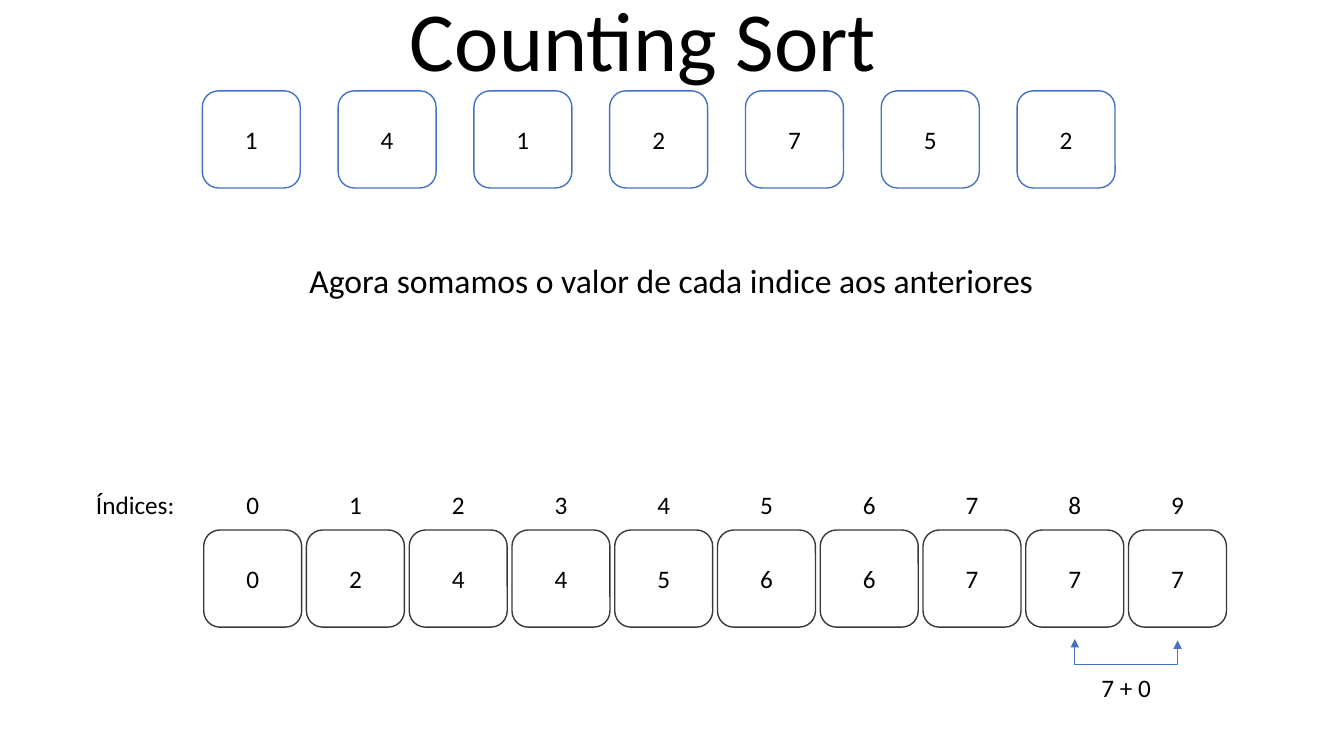
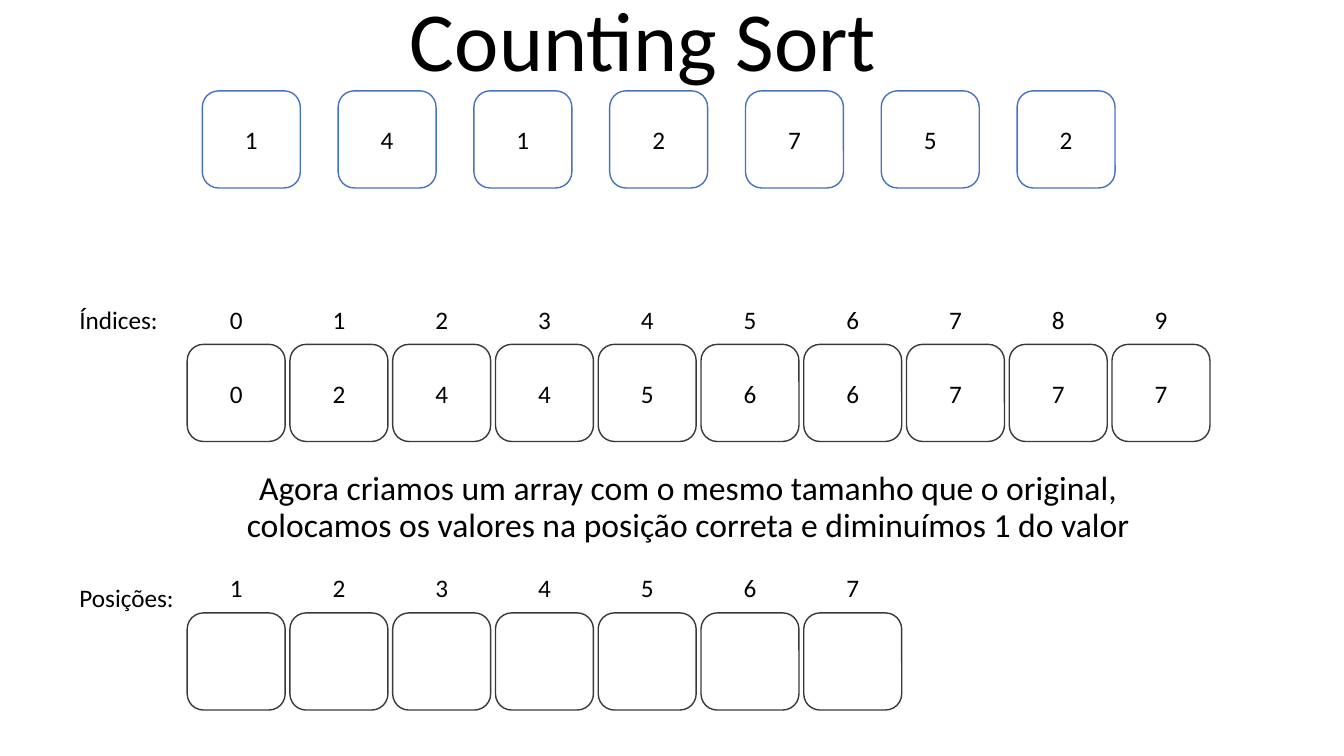
from lxml.etree import SubElement
from pptx import Presentation
from pptx.dml.color import RGBColor
from pptx.enum.shapes import MSO_CONNECTOR, MSO_SHAPE
from pptx.enum.text import MSO_ANCHOR, MSO_AUTO_SIZE, PP_ALIGN
from pptx.oxml.ns import qn
from pptx.util import Pt

COLORS = {"text": "000000", "fill": "FFFFFF", "input": "4472C4", "count": "3B3838"}
FONT = "Calibri"
TITLE = "Counting Sort"
TITLE_BOX = (99.4, -31, 720, 98.6)
CELL_WIDTH, CELL_HEIGHT = 70, 69.4
LABEL_WIDTH, LABEL_HEIGHT, LABEL_RISE = 40, 29, 32.4
CAPTION_WIDTH, CAPTION_SHIFT = 83, 84
COUNT_PITCH = 73.4

INPUT_ROW = {"values": [1, 4, 1, 2, 7, 5, 2], "left": 144.5, "top": 64.9,
             "pitch": 97, "color": "input"}
TOTALS = [0, 2, 4, 4, 5, 6, 6, 7, 7, 7]
INDEXES = {"values": TOTALS, "labels": range(10), "caption": "Índices:"}

SLIDES = [
    {
        "message": "Agora somamos o valor de cada indice aos anteriores",
        "message_box": (174, 185.5, 611, 60),
        "rows": [{**INDEXES, "left": 145.5, "top": 378.6}],
        "sum": {"text": "7 + 0", "cells": (8, 9)},
    },
    {
        "message": "Agora criamos um array com o mesmo tamanho que o original, "
                   "colocamos os valores na posição correta e diminuímos 1 do valor",
        "message_box": (163.5, 333.5, 656, 85),
        "rows": [
            {**INDEXES, "left": 133.7, "top": 246},
            {"values": [""] * 7, "labels": range(1, 8), "caption": "Posições:",
             "left": 133.7, "top": 437.8, "caption_drop": 7},
        ],
    },
]


def color(name):
    return RGBColor.from_string(COLORS[name])


def apply(target, formats):
    for name, value in formats.items():
        setattr(target, name, value)


def write(shape, text, size=18, align=PP_ALIGN.CENTER, frame=None, paragraph=None):
    text_frame = shape.text_frame
    text_frame.text = str(text)
    apply(text_frame, {"word_wrap": True, **(frame or {})})
    first = text_frame.paragraphs[0]
    apply(first, {"alignment": align, **(paragraph or {})})
    for run in first.runs:
        apply(run.font, {"name": FONT, "size": Pt(size)})
        run.font.color.rgb = color("text")


def fill_placeholder(shape, box, text, size, anchor, space_before):
    sides = ("left", "top", "width", "height")
    apply(shape, {side: Pt(length) for side, length in zip(sides, box)})
    write(shape, text, size,
          frame={"vertical_anchor": anchor, "auto_size": MSO_AUTO_SIZE.NONE},
          paragraph={"line_spacing": 0.9, "space_before": Pt(space_before)})


def add_label(slide, text, left, top, width, align=PP_ALIGN.CENTER):
    shape = slide.shapes.add_textbox(Pt(left), Pt(top), Pt(width), Pt(LABEL_HEIGHT))
    write(shape, text, align=align)


def add_row(slide, values, left, top, pitch=COUNT_PITCH, color_name="count"):
    for position, value in enumerate(values):
        cell = slide.shapes.add_shape(
            MSO_SHAPE.ROUNDED_RECTANGLE, Pt(left + position * pitch), Pt(top),
            Pt(CELL_WIDTH), Pt(CELL_HEIGHT))
        cell.shadow.inherit = False
        cell.fill.solid()
        cell.fill.fore_color.rgb = color("fill")
        cell.line.color.rgb = color(color_name)
        cell.line.width = Pt(1)
        write(cell, value, frame={"vertical_anchor": MSO_ANCHOR.MIDDLE})


def add_labelled_row(slide, row):
    left, top = row["left"], row["top"]
    add_row(slide, row["values"], left, top)
    label_top = top - LABEL_RISE
    label_left = left + (CELL_WIDTH - LABEL_WIDTH) / 2
    for position, label in enumerate(row["labels"]):
        add_label(slide, label, label_left + position * COUNT_PITCH, label_top, LABEL_WIDTH)
    add_label(slide, row["caption"], left - CAPTION_SHIFT,
              label_top + row.get("caption_drop", 0), CAPTION_WIDTH, PP_ALIGN.LEFT)


def add_sum(slide, row, text, cells):
    start, end = (row["left"] + cell * COUNT_PITCH + CELL_WIDTH / 2 for cell in cells)
    middle, span, depth = (start + end) / 2, end - start, 18
    height = row["top"] + CELL_HEIGHT + 9
    bracket = slide.shapes.add_connector(
        MSO_CONNECTOR.ELBOW, Pt(middle + 0.5), Pt(height - span / 2),
        Pt(middle - 0.5), Pt(height + span / 2))
    bracket.line.color.rgb = color("input")
    bracket.line.width = Pt(0.5)
    properties = bracket._element.spPr
    properties.find(qn("a:xfrm")).set("rot", str(270 * 60000))
    adjustments = properties.find(qn("a:prstGeom")).get_or_add_avLst()
    SubElement(adjustments, qn("a:gd"), name="adj1", fmla=f"val {depth * 100000}")
    for arrowhead in ("a:headEnd", "a:tailEnd"):
        SubElement(properties.find(qn("a:ln")), qn(arrowhead), type="triangle")
    SubElement(properties, qn("a:effectLst"))
    add_label(slide, text, middle - 27, height + depth + 2, 54)


def build_slide(presentation, content):
    slide = presentation.slides.add_slide(presentation.slide_layouts[0])
    fill_placeholder(slide.shapes.title, TITLE_BOX, TITLE, 60, MSO_ANCHOR.BOTTOM, 0)
    fill_placeholder(slide.placeholders[1], content["message_box"], content["message"],
                     24, MSO_ANCHOR.TOP, 10)
    add_row(slide, INPUT_ROW["values"], INPUT_ROW["left"], INPUT_ROW["top"],
            INPUT_ROW["pitch"], INPUT_ROW["color"])
    for row in content["rows"]:
        add_labelled_row(slide, row)
    if "sum" in content:
        add_sum(slide, content["rows"][0], **content["sum"])


def main():
    presentation = Presentation()
    apply(presentation, {"slide_width": Pt(960), "slide_height": Pt(540)})
    for content in SLIDES:
        build_slide(presentation, content)
    presentation.save("out.pptx")


if __name__ == "__main__":
    main()
